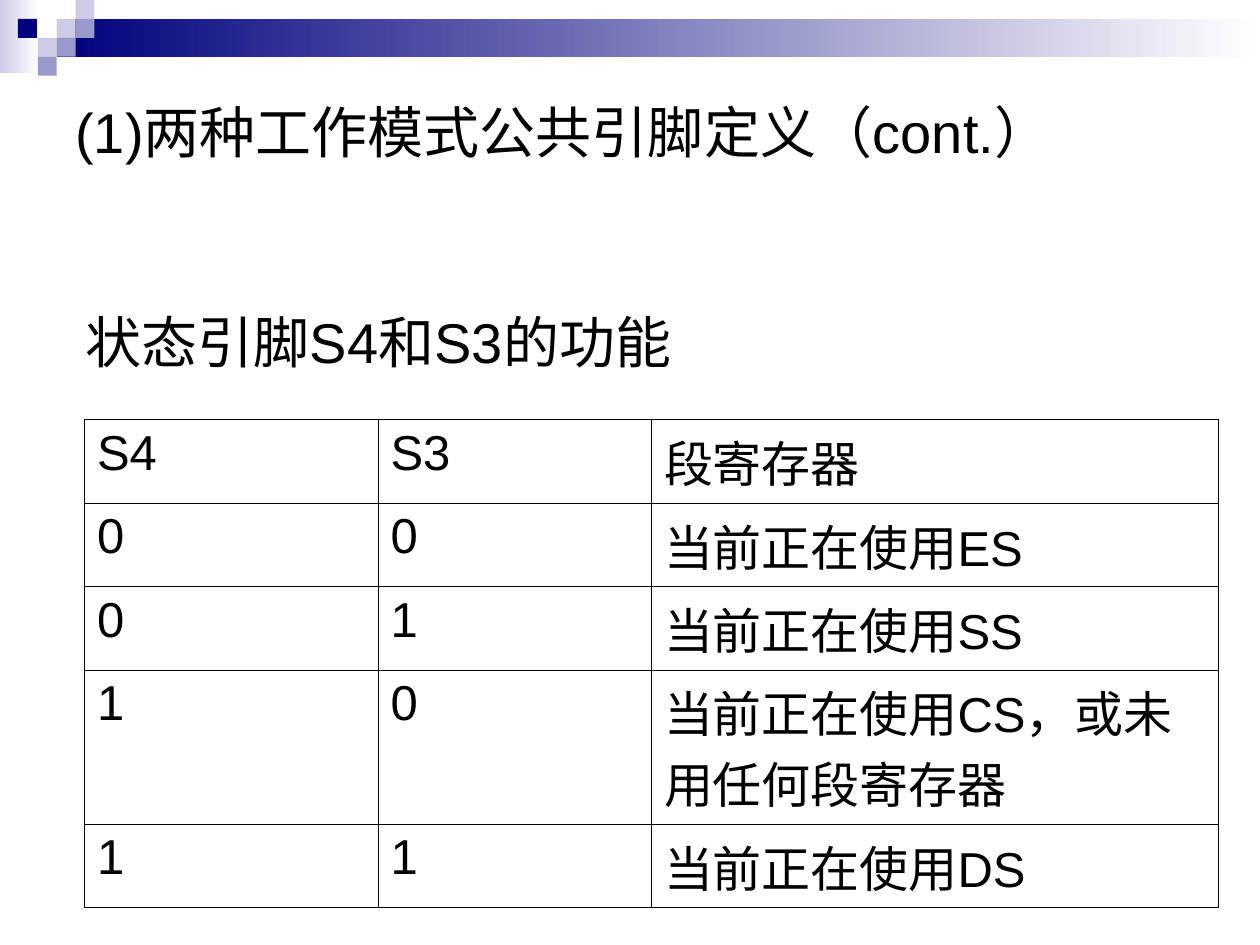
import pptx
import pptx.dml.color
import pptx.enum.shapes
import pptx.enum.text
import pptx.oxml
import pptx.oxml.ns
import pptx.util

HUES = {"ink": "000000", "navy": "00007D", "mid": "9999CC", "pale": "CCCCE6", "white": "FFFFFF"}
UNIT = 0.15
THIN, THICK = 0.45, 1.08


def span(*units):
    return [pptx.util.Inches(n * UNIT) for n in units]


def hue(name):
    return pptx.dml.color.RGBColor.from_string(HUES[name])


class Deck:
    font = "Arial"
    head = 32
    body = 28

    def __init__(self):
        self.show = pptx.Presentation()
        self.show.slide_width = pptx.util.Inches(10)
        self.show.slide_height = pptx.util.Inches(7.5)
        self.page = self.show.slides.add_slide(self.show.slide_layouts[5])

    def words(self, frame, text, size):
        frame.word_wrap = True
        para = frame.paragraphs[0]
        para.alignment = pptx.enum.text.PP_ALIGN.LEFT
        run = para.add_run()
        run.text = text
        run.font.name = self.font
        run.font.size = pptx.util.Pt(size)
        run.font.color.rgb = hue("ink")

    def center(self, frame):
        frame.auto_size = pptx.enum.text.MSO_AUTO_SIZE.NONE
        frame.vertical_anchor = pptx.enum.text.MSO_ANCHOR.MIDDLE

    def title(self, area, text):
        box = self.page.shapes.title
        box.left, box.top, box.width, box.height = span(*area)
        self.center(box.text_frame)
        self.words(box.text_frame, text, self.head)

    def label(self, area, text):
        box = self.page.shapes.add_textbox(*span(*area))
        self.center(box.text_frame)
        self.words(box.text_frame, text, self.head)

    def block(self, area, *tones):
        kind = pptx.enum.shapes.MSO_SHAPE.RECTANGLE
        box = self.page.shapes.add_shape(kind, *span(*area))
        box.shadow.inherit = False
        box.line.fill.background()
        if len(tones) == 1:
            box.fill.solid()
            box.fill.fore_color.rgb = hue(tones[0])
            return
        box.fill.gradient()
        box.fill.gradient_angle = 0
        for stop, tone in zip(box.fill.gradient_stops, tones):
            stop.color.rgb = hue(tone)

    def edge(self, cell, side, width):
        space = pptx.oxml.ns.nsdecls("a")
        cell._tc.get_or_add_tcPr().append(pptx.oxml.parse_xml(
            f'<a:ln{side} {space} w="{pptx.util.Pt(width)}"><a:solidFill>'
            f'<a:srgbClr val="{HUES["ink"]}"/></a:solidFill></a:ln{side}>'))

    def table(self, area, cols, rows, data):
        frame = self.page.shapes.add_table(len(rows), len(cols), *span(*area))
        grid = frame.table
        grid.first_row = grid.horz_banding = False
        for col, width in zip(grid.columns, span(*cols)):
            col.width = width
        for row, height in zip(grid.rows, span(*rows)):
            row.height = height
        for r, line in enumerate(data):
            for c, text in enumerate(line):
                cell = grid.cell(r, c)
                outer = {"L": c == 0, "R": c == len(cols) - 1,
                         "T": r == 0, "B": r == len(rows) - 1}
                for side, rim in outer.items():
                    self.edge(cell, side, THICK if rim else THIN)
                cell.fill.background()
                self.words(cell.text_frame, text, self.body)


def main():
    deck = Deck()
    deck.block((0, 0, 2.07, 3.87), "pale", "white")
    deck.block((3, 1, 63.67, 2), "navy", "white")
    tiles = [(3, 1, "pale"), (4, 0, "pale"), (4, 1, "mid"), (2, 2, "pale"),
             (0.95, 1, "navy"), (3, 2, "mid"), (2, 3, "mid")]
    for col, row, tone in tiles:
        deck.block((col, row, 1, 1), tone)

    deck.title((3.87, 16.13, 60, 3.87), "状态引脚S4和S3的功能")
    use = "当前正在使用"
    data = [("S4", "S3", "段寄存器"),
            ("0", "0", use + "ES"),
            ("0", "1", use + "SS"),
            ("1", "0", use + "CS，或未用任何段寄存器"),
            ("1", "1", use + "DS")]
    deck.table((4.47, 22.2, 60, 22), (15.53, 14.47, 30), (3.8, 3.8, 3.8, 6.93, 3.8), data)
    deck.label((3.33, 3.33, 60, 7.2), "(1)两种工作模式公共引脚定义（cont.）")
    deck.show.save("out.pptx")


if __name__ == "__main__":
    main()
